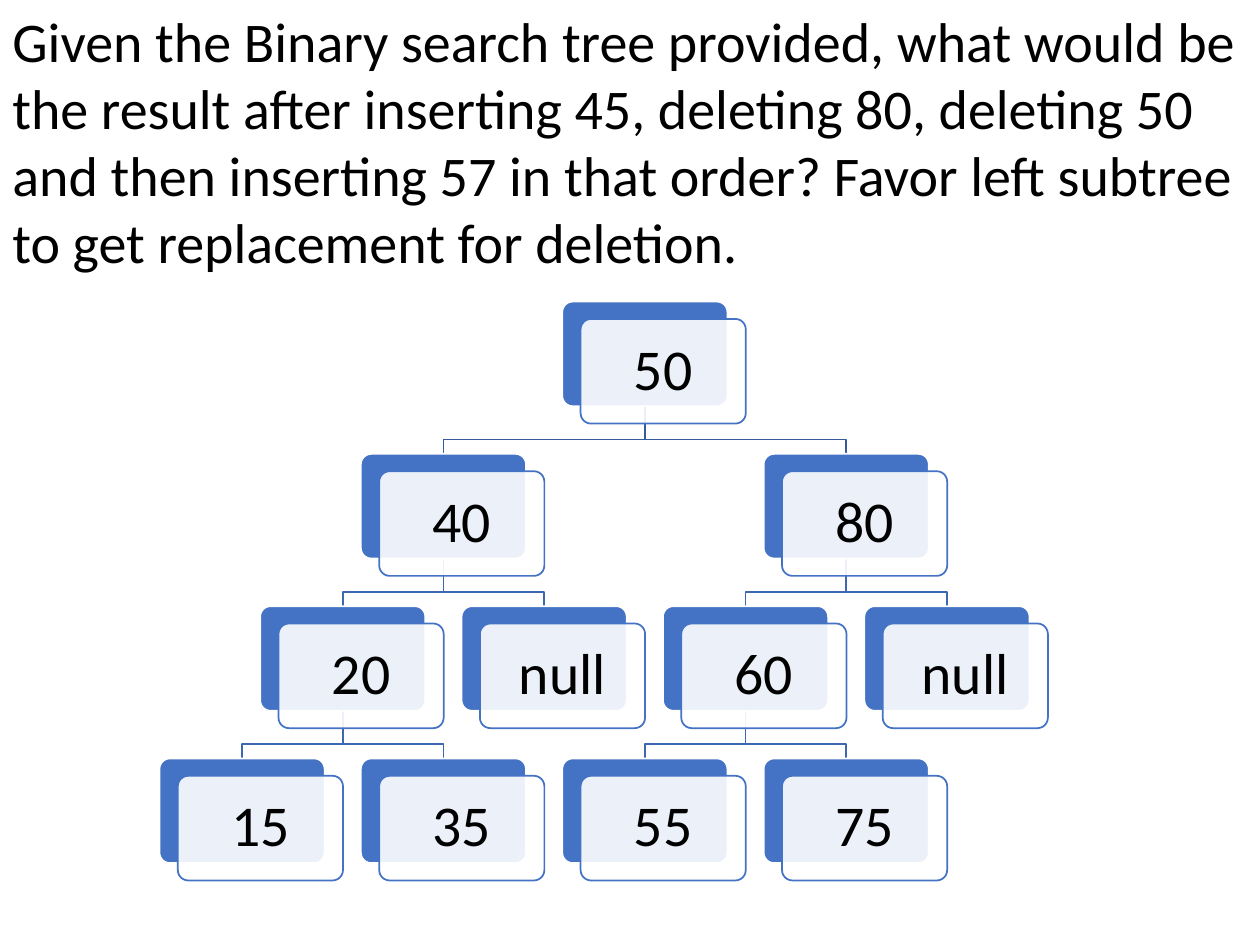
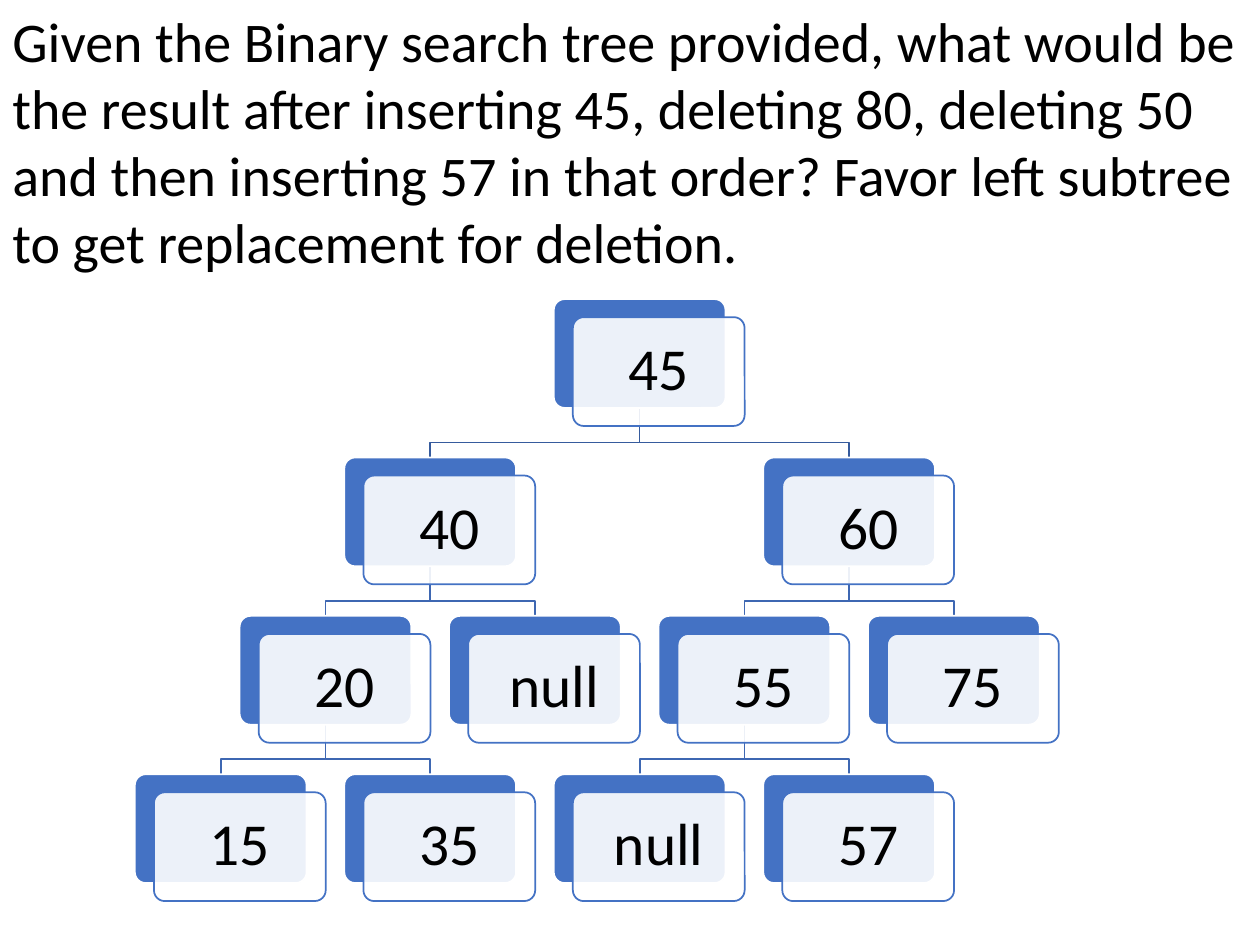
"""Build two slides that show a binary search tree before and after its edits."""
import lxml.etree
import pptx
import pptx.dml.color
import pptx.enum.shapes
import pptx.enum.text
import pptx.oxml.ns
import pptx.util
from pptx.util import Cm

COLOURS = {
    "text": "000000",
    "accent": "4472C4",
    "paper": "FFFFFF",
    "root link": "365B9D",
    "link": "3E67B2",
}
QUESTION = (
    "Given the Binary search tree provided, what would be the result after "
    "inserting 45, deleting 80, deleting 50 and then inserting 57 in that order? "
    "Favor left subtree to get replacement for deletion."
)
BEFORE = ("50",
          ("40", ("20", ("15",), ("35",)), ("null",)),
          ("80", ("60", ("55",), ("75",)), ("null",)))
AFTER = ("45",
         ("40", ("20", ("15",), ("35",)), ("null",)),
         ("60", ("55", ("null",), ("57",)), ("75",)))
ROOT_COLUMN = 4
SPREADS = (2, 1, 1)


def place(tree, row=0, column=ROOT_COLUMN, parent=None):
    """Yield label, row, column and parent column of every node, parents first."""
    label, *children = tree
    yield label, row, column, parent
    for child, side in zip(children, (-1, 1)):
        yield from place(child, row + 1, column + side * SPREADS[row], column)


class TreeDeck:
    """Holds the style and the current slide."""

    font = "Calibri"
    step, pitch = 2.03, 3.07
    box_width, box_height = 3.33, 2.11
    shift_x, shift_y = 0.37, 0.35
    elbow, label_margin, inset = 0.67, 0.07, 0.36

    def __init__(self):
        self.presentation = pptx.Presentation()
        self.presentation.slide_width = Cm(25.4)
        self.presentation.slide_height = Cm(19.05)

    def colour(self, name):
        return pptx.dml.color.RGBColor.from_string(COLOURS[name])

    def add_slide(self):
        self.slide = self.presentation.slides.add_slide(self.presentation.slide_layouts[6])

    def text(self, shapes, words, left, top, width, height, size):
        shape = shapes.add_textbox(Cm(left), Cm(top), Cm(width), Cm(height))
        frame = shape.text_frame
        frame.word_wrap = True
        frame.text = words
        font = frame.paragraphs[0].font
        font.name, font.size = self.font, pptx.util.Pt(size)
        font.color.rgb = self.colour("text")
        return frame

    def title(self, words):
        frame = self.text(self.slide.shapes, words, 0, 0, 25.4, 5.74, 32)
        frame.auto_size = pptx.enum.text.MSO_AUTO_SIZE.SHAPE_TO_FIT_TEXT

    def outline(self, shape, colour):
        shape.shadow.inherit = False
        shape.line.color.rgb = self.colour(colour)
        shape.line.width = pptx.util.Pt(1)

    def card(self, group, left, top, scale, fill, line):
        shape = group.shapes.add_shape(
            pptx.enum.shapes.MSO_SHAPE.ROUNDED_RECTANGLE, Cm(left), Cm(top),
            Cm(self.box_width * scale), Cm(self.box_height * scale))
        shape.adjustments[0] = 0.1
        shape.fill.solid()
        shape.fill.fore_color.rgb = self.colour(fill)
        self.outline(shape, line)
        return shape

    def node(self, group, label, centre, top, scale, size):
        left = centre - self.box_width * scale / 2
        self.card(group, left, top, scale, "accent", "paper")
        left += self.shift_x * scale
        top += self.shift_y * scale
        front = self.card(group, left, top, scale, "paper", "accent")
        qualified = pptx.oxml.ns.qn
        fill = front.element.spPr.find(qualified("a:solidFill"))
        lxml.etree.SubElement(fill[0], qualified("a:alpha"), val="90000")

        margin = self.label_margin
        frame = self.text(group.shapes, label, left + margin, top + margin,
                          self.box_width * scale - 2 * margin,
                          self.box_height * scale - 2 * margin, size)
        frame.margin_left = frame.margin_right = Cm(self.inset)
        frame.margin_top = frame.margin_bottom = Cm(self.inset)
        frame.vertical_anchor = pptx.enum.text.MSO_ANCHOR.MIDDLE
        frame.paragraphs[0].alignment = pptx.enum.text.PP_ALIGN.CENTER
        frame.paragraphs[0].line_spacing = 0.9

    def link(self, group, start, end, bend, colour):
        corners = [(start[0], bend), (end[0], bend), end]
        builder = group.shapes.build_freeform(Cm(start[0]), Cm(start[1]))
        builder.add_line_segments([(Cm(x), Cm(y)) for x, y in corners], close=False)
        shape = builder.convert_to_shape()
        shape.fill.background()
        self.outline(shape, colour)

    def tree(self, tree, left, top, scale, size):
        group = self.slide.shapes.add_group_shape()
        nodes = list(place(tree))

        def centre(column):
            return left + column * self.step * scale

        def row_top(row):
            return top + row * self.pitch * scale

        for _, row, column, parent in reversed(nodes[1:]):
            bottom = row_top(row - 1) + self.box_height * scale
            self.link(group, (centre(parent), bottom), (centre(column), row_top(row)),
                      bottom + self.elbow * scale, "root link" if row == 1 else "link")
        for label, row, column, _ in nodes:
            self.node(group, label, centre(column), row_top(row), scale, size)


deck = TreeDeck()
for tree, left, top, scale, size in ((BEFORE, 4.88, 6.08, 1, 33),
                                     (AFTER, 4.45, 6.03, 1.04, 34)):
    deck.add_slide()
    deck.title(QUESTION)
    deck.tree(tree, left, top, scale, size)
deck.presentation.save("out.pptx")
